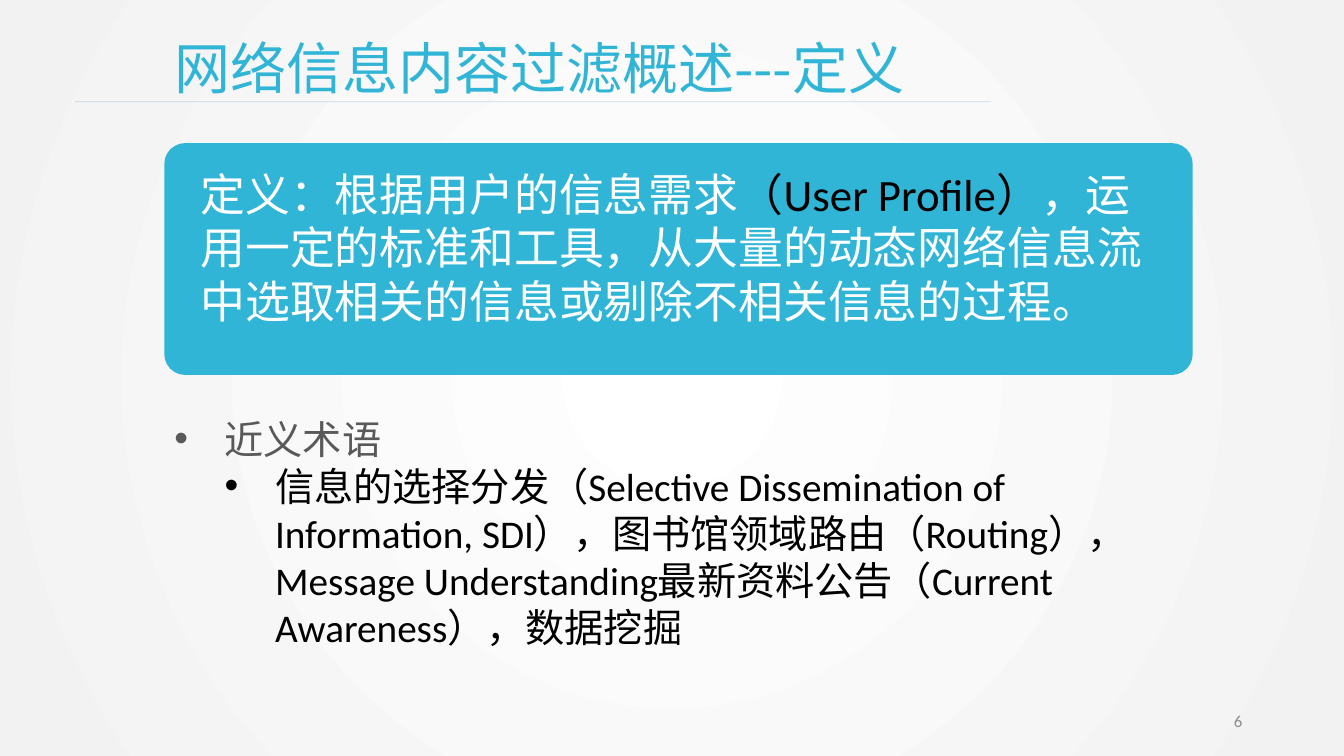
from lxml import etree
from pptx import Presentation
from pptx.dml.color import RGBColor
from pptx.enum.shapes import MSO_CONNECTOR, MSO_SHAPE
from pptx.enum.text import MSO_ANCHOR, MSO_AUTO_SIZE, PP_ALIGN
from pptx.oxml.ns import qn
from pptx.util import Pt

LINE = MSO_CONNECTOR.STRAIGHT
ROUND = MSO_SHAPE.ROUNDED_RECTANGLE
TOP, MID = MSO_ANCHOR.TOP, MSO_ANCHOR.MIDDLE
GROW, FIXED = MSO_AUTO_SIZE.SHAPE_TO_FIT_TEXT, MSO_AUTO_SIZE.NONE
LEFT, RIGHT = PP_ALIGN.LEFT, PP_ALIGN.RIGHT
HAN, LATIN = "Noto Sans CJK SC", "Calibri"
COLORS = {"blue": "31B5D6", "white": "FFFFFF", "pale": "F2F2F2", "black": "000000",
          "dark": "595959", "gray": "8C8C8C", "rule": "4A7EBB"}
PX = 9144


def px(*nums):
    """Turn px, a hundred to the inch, into EMU."""
    return [num * PX for num in nums]


def color(name):
    """Look up a colour by name."""
    return RGBColor.from_string(COLORS[name])


def sub(node, tag, **attrs):
    """Add a drawing element under a node."""
    return etree.SubElement(node, qn(tag), attrs)


def write(par, runs, size):
    """Add runs of text, font and colour to a paragraph."""
    for text, font, tint in runs:
        run = par.add_run()
        run.text = text
        run.font.name = font
        run.font.size = Pt(size)
        run.font.color.rgb = color(tint)


def setup(frame, anchor=TOP, fit=GROW):
    """Wrap a text frame and set its anchor and fit."""
    frame.word_wrap = True
    frame.auto_size = fit
    frame.vertical_anchor = anchor
    return frame


def bullet(par, level):
    """Give a paragraph a hanging bullet."""
    par.level = level
    props = par._p.get_or_add_pPr()
    props.set("marL", str(50 * PX * (level + 1)))
    props.set("indent", str(-50 * PX))
    sub(props, "a:buFont", typeface="Arial")
    sub(props, "a:buChar", char="•")


def backdrop(slide):
    """Fill the slide with a round gradient."""
    fill = slide.background.fill
    fill.gradient()
    for stop, name in zip(fill.gradient_stops, ("white", "pale")):
        stop.color.rgb = color(name)
    grad = slide.background._cSld.find(".//" + qn("a:gradFill"))
    grad.remove(grad.find(qn("a:lin")))
    way = sub(grad, "a:path", path="circle")
    sub(way, "a:fillToRect", l="50000", t="50000", r="50000", b="50000")


def heading(slide, x, y, w, h):
    """Place the title and the thin rule under it."""
    title = slide.shapes.title
    title.left, title.top, title.width, title.height = px(x, y, w, h)
    par = setup(title.text_frame).paragraphs[0]
    par.alignment = LEFT
    write(par, [("网络信息内容过滤概述---定义", HAN, "blue")], 40)
    rule = slide.shapes.add_connector(LINE, *px(x - 89, y + 73, x + 820, y + 73))
    rule.line.width = Pt(0.5)
    rule.line.color.rgb = color("rule")
    sub(rule._element.spPr.find(".//" + qn("a:srgbClr")), "a:alpha", val="25000")
    sub(rule._element.spPr, "a:effectLst")


def panel(slide, x, y, w, h):
    """Draw the rounded panel with the definition."""
    card = slide.shapes.add_shape(ROUND, *px(x, y, w, h))
    card.adjustments[0] = 0.09
    card.shadow.inherit = False
    card.fill.solid()
    card.fill.fore_color.rgb = color("blue")
    card.line.fill.background()
    box = slide.shapes.add_textbox(*px(x + 26, y + 18, w - 50, h - 58))
    write(setup(box.text_frame).paragraphs[0], [
        ("定义：根据用户的信息需求", HAN, "white"),
        ("（User Profile）", LATIN, "black"),
        ("，运用一定的标准和工具，从大量的动态网络信息流中选取相关的信息或剔除不相关信息的过程。",
         HAN, "white")], 32)


def terms(slide, x, y, w, h):
    """List the related terms."""
    frame = setup(slide.shapes.add_textbox(*px(x, y, w, h)).text_frame)
    head, item = frame.paragraphs[0], frame.add_paragraph()
    head.line_spacing = 1.25
    bullet(head, 0)
    write(head, [("近义术语", HAN, "dark")], 28)
    bullet(item, 1)
    write(item, [("信息的选择分发（Selective Dissemination of Information, SDI），"
                  "图书馆领域路由（Routing），Message Understanding最新资料公告"
                  "（Current Awareness），数据挖掘", LATIN, "black")], 28)


def number(slide, x, y, w, h):
    """Place the page number."""
    box = slide.shapes.add_textbox(*px(x, y, w, h))
    par = setup(box.text_frame, MID, FIXED).paragraphs[0]
    par.alignment = RIGHT
    write(par, [("6", LATIN, "gray")], 12)


def main():
    """Build the slide and save it."""
    deck = Presentation()
    deck.slide_width, deck.slide_height = px(1333, 750)
    slide = deck.slides.add_slide(deck.slide_layouts[5])
    backdrop(slide)
    heading(slide, 163, 28, 850, 77)
    panel(slide, 163, 142, 1020, 230)
    terms(slide, 163, 395, 962, 257)
    number(slide, 942, 695, 300, 40)
    deck.save("out.pptx")


if __name__ == "__main__":
    main()
